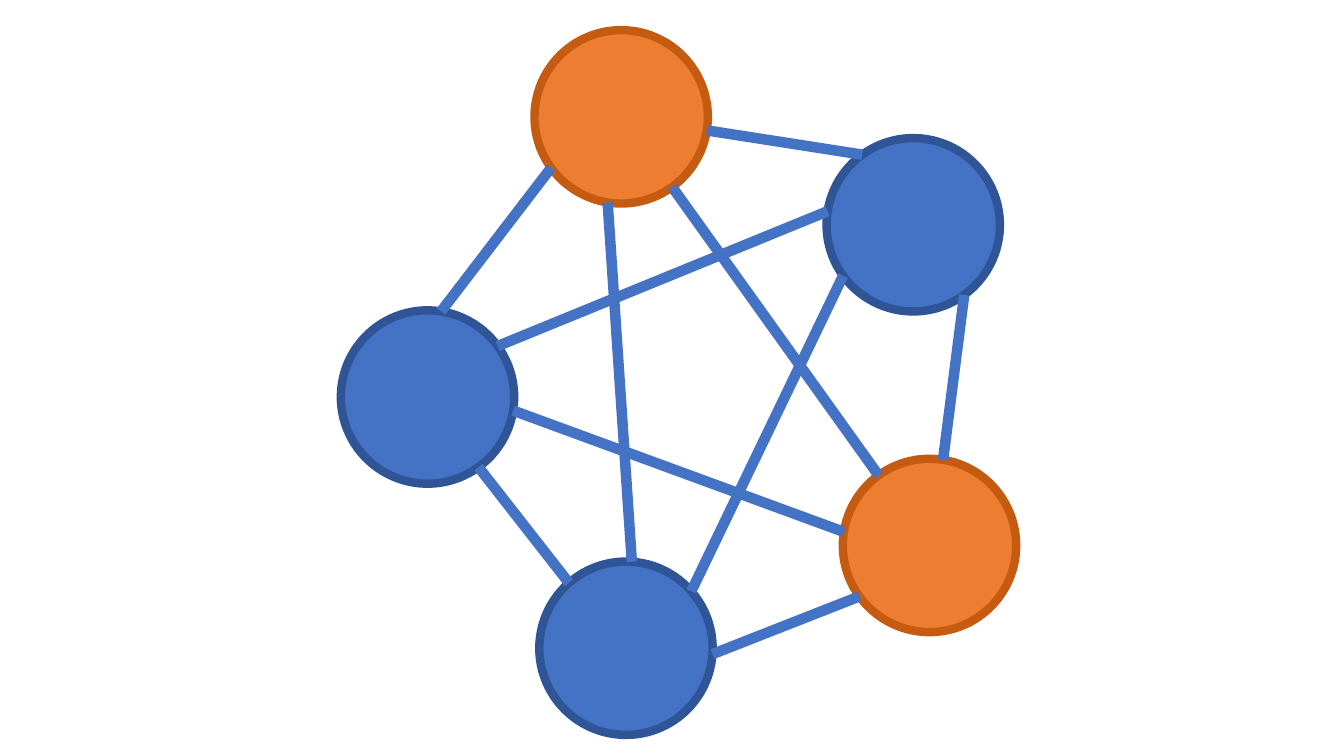
import math
import pptx
import pptx.dml.color
import pptx.enum.shapes
import pptx.oxml.ns
import pptx.util
from lxml import etree

Cm = pptx.util.Cm
DIAMETER = 4.37
ORANGE, BLUE = ("ED7D31", "C55A11"), ("4472C4", "2F5597")
NODES = {
    "top": (4.88, 0, 54, ORANGE),
    "lower right": (12.65, 10.8, 54, ORANGE),
    "left": (0, 7.06, 54, BLUE),
    "upper right": (12.24, 2.72, 54, BLUE),
    "bottom": (5, 13.39, 48.9, BLUE),
}
EDGES = [
    ("bottom", 2, "left", 6),
    ("left", 1, "top", 4),
    ("top", 7, "upper right", 2),
    ("lower right", 4, "bottom", 7),
    ("upper right", 4, "bottom", 0),
    ("lower right", 3, "left", 7),
    ("lower right", 1, "upper right", 6),
    ("lower right", 2, "top", 6),
    ("upper right", 3, "left", 0),
    ("top", 5, "bottom", 1),
]


def rgb(value):
    """Return the colour for a hex string."""
    return pptx.dml.color.RGBColor.from_string(value)


def set_line(sp, color, width):
    """Give a shape or connector a solid line."""
    sp.line.color.rgb = rgb(color)
    sp.line.width = pptx.util.Pt(width)


def add_node(shapes, left, top, rotation, colors):
    """Add one network node as a rotated circle."""
    sp = shapes.add_shape(pptx.enum.shapes.MSO_SHAPE.OVAL, Cm(left), Cm(top),
                          Cm(DIAMETER), Cm(DIAMETER))
    fill, outline = colors
    sp.rotation = rotation
    sp.shadow.inherit = False
    sp.fill.solid()
    sp.fill.fore_color.rgb = rgb(fill)
    set_line(sp, outline, 6)


def site_point(left, top, name, site):
    """Return a node's connection site, numbered anticlockwise in steps of 45 degrees."""
    x, y, rotation, _ = NODES[name]
    angle = math.radians(rotation - 45 * site)
    radius = DIAMETER / 2
    return (Cm(left + x + radius * (1 + math.sin(angle))),
            Cm(top + y + radius * (1 - math.cos(angle))))


def add_edge(shapes, start, end):
    """Add one straight link between two points."""
    sp = shapes.add_connector(pptx.enum.shapes.MSO_CONNECTOR.STRAIGHT, *start, *end)
    set_line(sp, "4472C4", 7.5)
    etree.SubElement(sp._element.spPr, pptx.oxml.ns.qn("a:effectLst"))


def add_network(s, left, top):
    """Draw the fully connected network with its box at the given corner."""
    shapes = s.shapes.add_group_shape().shapes
    for x, y, rotation, colors in NODES.values():
        add_node(shapes, left + x, top + y, rotation, colors)
    for source, source_site, target, target_site in EDGES:
        add_edge(shapes, site_point(left, top, source, source_site),
                 site_point(left, top, target, target_site))


def main():
    """Build and save the presentation."""
    prs = pptx.Presentation()
    prs.slide_width, prs.slide_height = Cm(33.87), Cm(19.05)
    s = prs.slides.add_slide(prs.slide_layouts[6])
    add_network(s, 8.59, 0.76)
    prs.save("out.pptx")


main()
